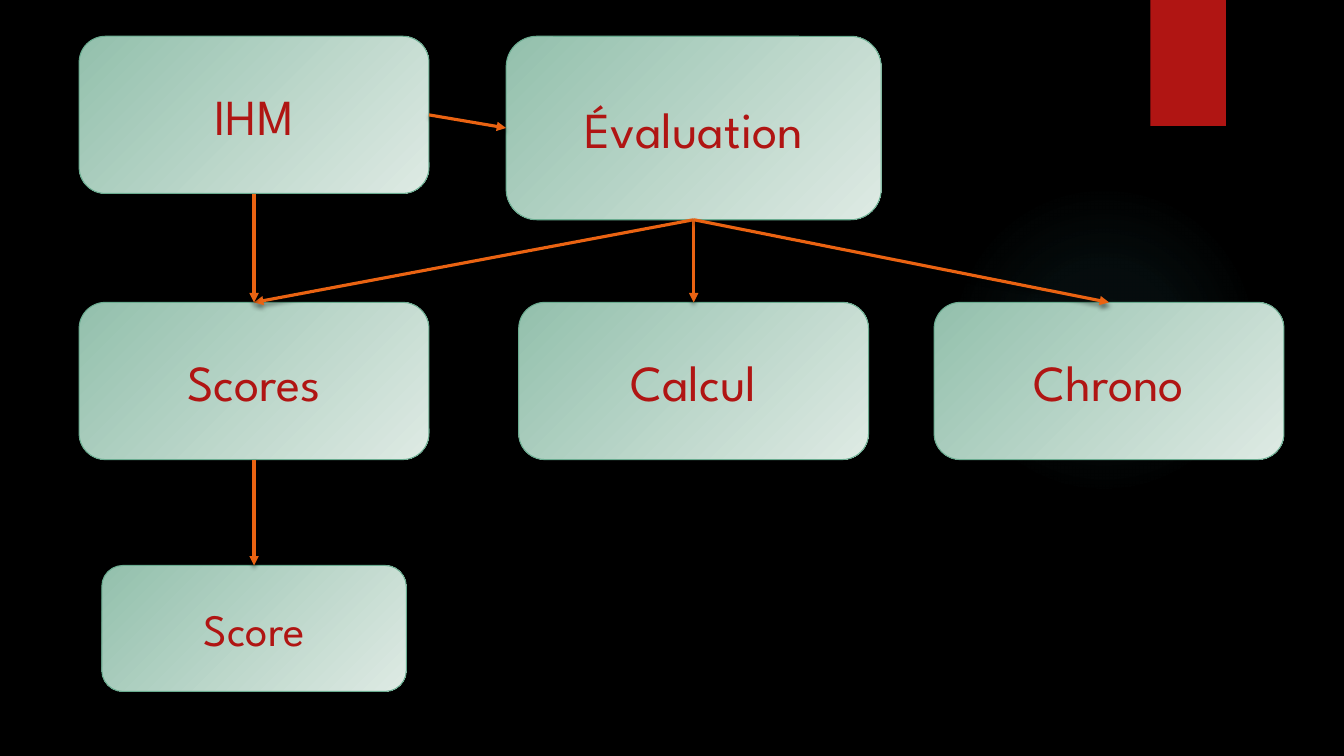
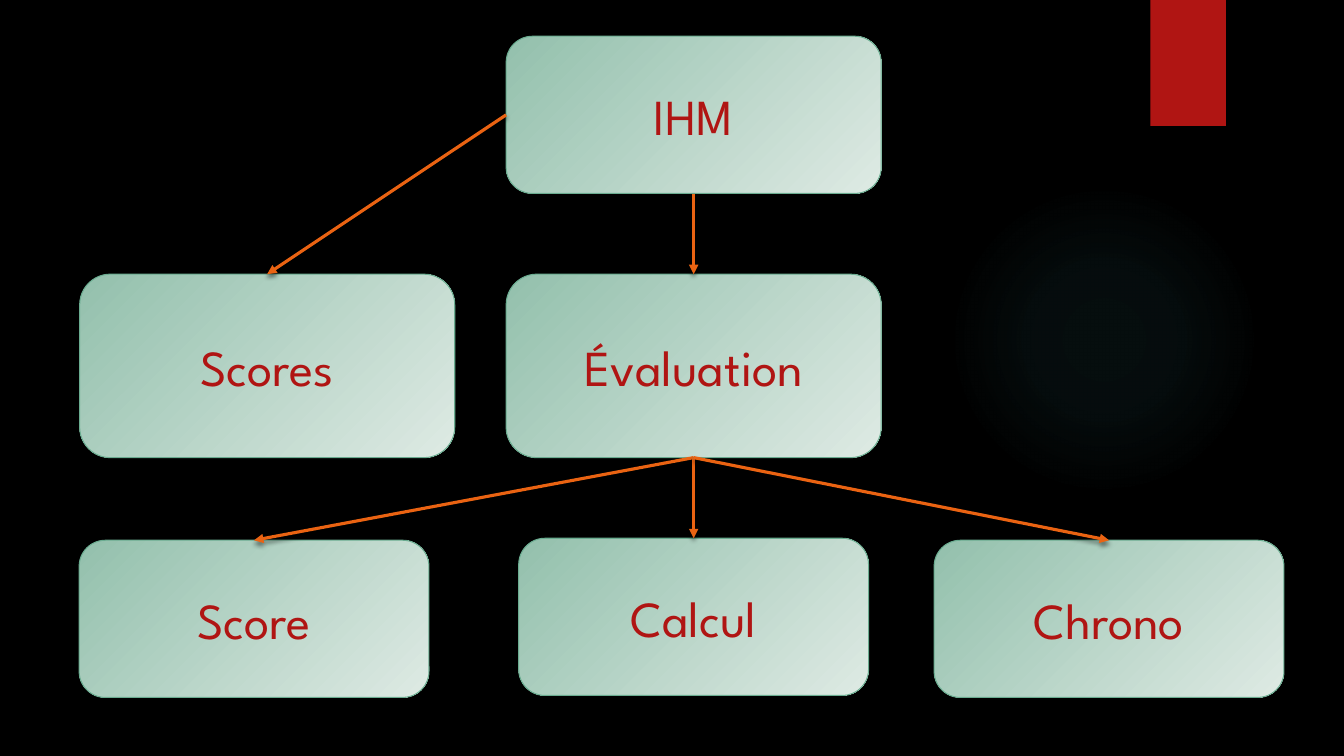
import pptx
import pptx.util
import pptx.oxml
import pptx.oxml.ns
import pptx.dml.color
import pptx.enum.shapes
import pptx.enum.text

Inches, Pt = pptx.util.Inches, pptx.util.Pt
RGBColor = pptx.dml.color.RGBColor
SHAPE = pptx.enum.shapes.MSO_SHAPE

# Shared style
BLACK = RGBColor(0x00, 0x00, 0x00)
RED = RGBColor(0xB0, 0x15, 0x13)
ORANGE = RGBColor(0xEA, 0x63, 0x12)
GREEN_EDGE = RGBColor(0x6A, 0xAC, 0x90)
GREEN_LIGHT = RGBColor(0xDE, 0xEA, 0xE4)
GREEN = RGBColor(0x93, 0xC0, 0xAC)
TEAL = RGBColor(0x50, 0xB9, 0xC1)
FONT = "League Spartan"

# Gradient stops: position, colour, opacity in percent
BOX_STOPS = [(0, GREEN_LIGHT, 100), (100, GREEN, 100)]
GLOW_STOPS = [(0, TEAL, 7), (36, TEAL, 6), (69, TEAL, 0)]
CORNER, MIDDLE = (100, 100, 0, 0), (50, 50, 50, 50)

# Column centres and box sizes, in inches
LEFT, CENTRE, RIGHT = 2.52, 6.88, 11.0
NORMAL, LARGE, WIDE, SMALL = (3.47, 1.56), (3.72, 1.82), (3.72, 1.56), (3.02, 1.25)

# Connection sites of a box
TOP, WEST, BOTTOM, EAST = range(4)

# Each diagram: boxes (name, centre, top, size, text size) and arrows between sites
DIAGRAMS = [
    {
        "boxes": [
            ("IHM", LEFT, 0.36, NORMAL, 36),
            ("Évaluation", CENTRE, 0.36, LARGE, 36),
            ("Scores", LEFT, 3, NORMAL, 36),
            ("Calcul", CENTRE, 3, NORMAL, 36),
            ("Chrono", RIGHT, 3, NORMAL, 36),
            ("Score", LEFT, 5.61, SMALL, 32),
        ],
        "arrows": [
            ("Évaluation", BOTTOM, "Scores", TOP),
            ("Évaluation", BOTTOM, "Calcul", TOP),
            ("Évaluation", BOTTOM, "Chrono", TOP),
            ("Scores", BOTTOM, "Score", TOP),
            ("IHM", BOTTOM, "Scores", TOP),
            ("IHM", EAST, "Évaluation", WEST),
        ],
    },
    {
        "boxes": [
            ("IHM", CENTRE, 0.36, WIDE, 36),
            ("Scores", 2.65, 2.72, LARGE, 36),
            ("Évaluation", CENTRE, 2.72, LARGE, 36),
            ("Score", LEFT, 5.36, NORMAL, 36),
            ("Calcul", CENTRE, 5.34, NORMAL, 36),
            ("Chrono", RIGHT, 5.36, NORMAL, 36),
        ],
        "arrows": [
            ("Évaluation", BOTTOM, "Score", TOP),
            ("Évaluation", BOTTOM, "Calcul", TOP),
            ("Évaluation", BOTTOM, "Chrono", TOP),
            ("IHM", WEST, "Scores", TOP),
            ("IHM", BOTTOM, "Évaluation", TOP),
        ],
    },
]


def xml(tag, body):
    """Return a drawing element with the given tag and inner markup."""
    names = pptx.oxml.ns.nsdecls("a")
    return pptx.oxml.parse_xml(f"<a:{tag} {names}>{body}</a:{tag}>")


def add_shadow(properties):
    for old in properties.findall(pptx.oxml.ns.qn("a:effectLst")):
        properties.remove(old)
    properties.append(xml("effectLst", (
        f'<a:outerShdw blurRad="{Pt(3)}" dist="{Pt(2)}" dir="5400000" rotWithShape="0">'
        f'<a:srgbClr val="{BLACK}"><a:alpha val="45000"/></a:srgbClr></a:outerShdw>')))


def fill_radial(shape, stops, focus):
    marks = "".join(
        f'<a:gs pos="{place * 1000}"><a:srgbClr val="{colour}">'
        f'<a:alpha val="{opacity * 1000}"/></a:srgbClr></a:gs>'
        for place, colour, opacity in stops)
    edges = " ".join(f'{side}="{share * 1000}"' for side, share in zip("ltrb", focus))
    shape.fill.background()
    properties = shape.element.spPr
    properties.replace(
        properties.find(pptx.oxml.ns.qn("a:noFill")),
        xml("gradFill", f'<a:gsLst>{marks}</a:gsLst>'
                        f'<a:path path="circle"><a:fillToRect {edges}/></a:path>'))


def add_plain_shape(page, kind, left, top, width, height):
    shape = page.shapes.add_shape(kind, *map(Inches, (left, top, width, height)))
    shape.shadow.inherit = False
    shape.line.fill.background()
    return shape


def add_backdrop(page):
    page.background.fill.solid()
    page.background.fill.fore_color.rgb = BLACK
    glow = add_plain_shape(page, SHAPE.OVAL, 9.41, 1.83, 3.08, 3.08)
    fill_radial(glow, GLOW_STOPS, MIDDLE)
    tab = add_plain_shape(page, SHAPE.RECTANGLE, 11.41, 0, 0.75, 1.25)
    tab.fill.solid()
    tab.fill.fore_color.rgb = RED
    add_shadow(tab.element.spPr)


def add_box(page, name, centre, top, size, text_size):
    width, height = size
    box = add_plain_shape(page, SHAPE.ROUNDED_RECTANGLE,
                          centre - width / 2, top, width, height)
    fill_radial(box, BOX_STOPS, CORNER)
    box.line.color.rgb = GREEN_EDGE
    box.line.width = Pt(0.75)
    frame = box.text_frame
    frame.text = name
    frame.vertical_anchor = pptx.enum.text.MSO_ANCHOR.MIDDLE
    para = frame.paragraphs[0]
    para.alignment = pptx.enum.text.PP_ALIGN.CENTER
    font = para.runs[0].font
    font.name, font.size, font.color.rgb = FONT, Pt(text_size), RED
    return box


def add_arrow(page, source, source_site, target, target_site):
    arrow = page.shapes.add_connector(pptx.enum.shapes.MSO_CONNECTOR.STRAIGHT, 0, 0, 0, 0)
    arrow.begin_connect(source, source_site)
    arrow.end_connect(target, target_site)
    arrow.line.color.rgb = ORANGE
    arrow.line.width = Pt(2.25)
    head = xml("tailEnd", "")
    head.set("type", "triangle")
    arrow.line._get_or_add_ln().append(head)
    add_shadow(arrow.element.spPr)


# Build the deck
deck = pptx.Presentation()
deck.slide_width, deck.slide_height = Inches(13.33), Inches(7.5)
for diagram in DIAGRAMS:
    page = deck.slides.add_slide(deck.slide_layouts[6])
    add_backdrop(page)
    boxes = {row[0]: add_box(page, *row) for row in diagram["boxes"]}
    for source, source_site, target, target_site in diagram["arrows"]:
        add_arrow(page, boxes[source], source_site, boxes[target], target_site)
deck.save("out.pptx")
